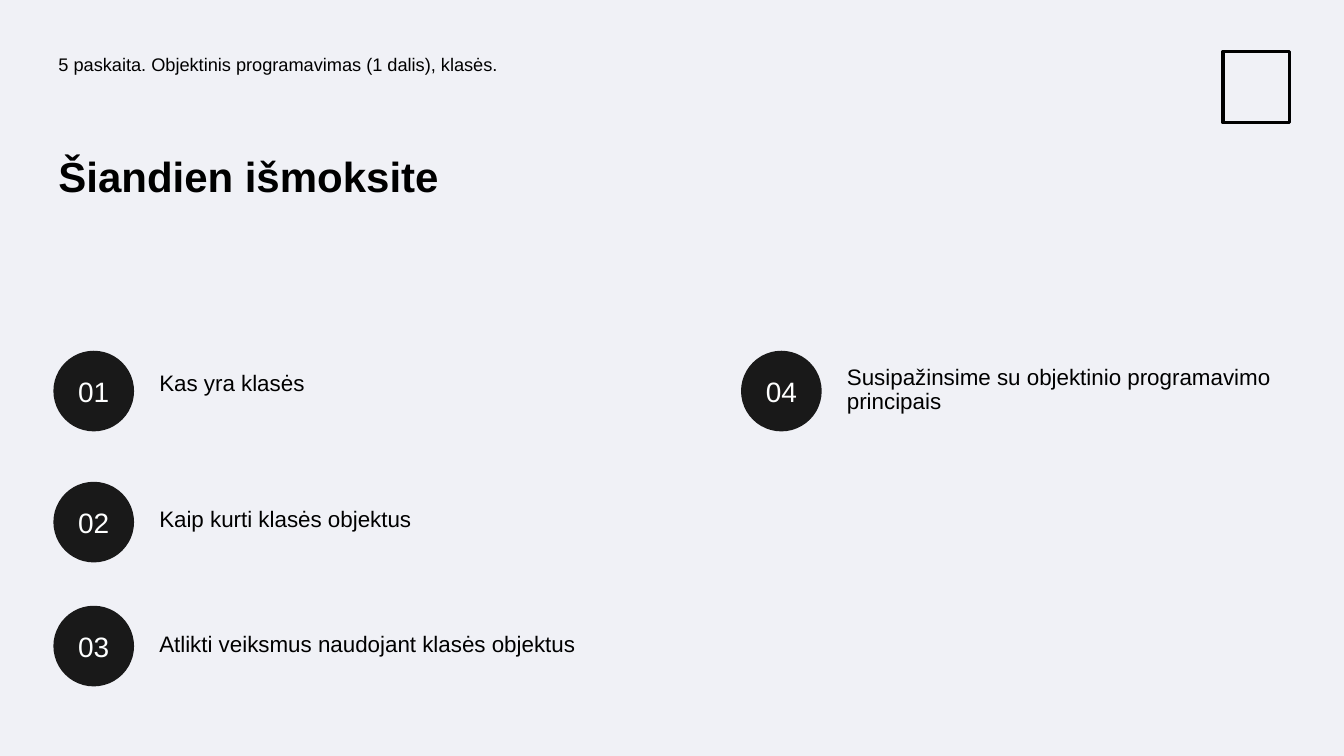
from pptx import Presentation
from pptx.dml.color import RGBColor
from pptx.enum.shapes import MSO_SHAPE
from pptx.enum.text import MSO_ANCHOR, PP_ALIGN
from pptx.util import Inches, Pt

LECTURE = "5 paskaita. Objektinis programavimas (1 dalis), klasės."
TITLE = "Šiandien išmoksite"
TOPICS = [
    ("01", "Kas yra klasės", 0, 0, 3.64, 4.63, 0.5),
    ("02", "Kaip kurti klasės objektus", 0, 1, 4.99, 4.63, 0.37),
    ("03", "Atlikti veiksmus naudojant klasės objektus", 0, 2, 6.23, 4.87, 0.36),
    ("04", "Susipažinsime su objektinio programavimo principais", 1, 0, 3.58, 4.87, 0.6),
]
COLUMNS = (0.53, 7.35)
ROWS = (3.48, 4.78, 6.01)
CIRCLE = 0.8
TEXT_OFFSET = 1.0
INSET = 0.05

FONT = "Arial"
BACKGROUND = RGBColor(0xF0, 0xF1, 0xF6)
BLACK = RGBColor(0, 0, 0)
DARK = RGBColor(0x19, 0x19, 0x19)
WHITE = RGBColor(0xFE, 0xFF, 0xFF)
OVAL, RECTANGLE = MSO_SHAPE.OVAL, MSO_SHAPE.RECTANGLE
TOP, MIDDLE = MSO_ANCHOR.TOP, MSO_ANCHOR.MIDDLE
LEFT, CENTER = PP_ALIGN.LEFT, PP_ALIGN.CENTER


def write(sp, text, size=16, color=BLACK, bold=False, align=LEFT,
          anchor=TOP, spacing=0.9, before=10):
    tf = sp.text_frame
    tf.word_wrap = True
    tf.vertical_anchor = anchor
    tf.margin_left = tf.margin_right = Inches(INSET)
    tf.margin_top = tf.margin_bottom = Inches(INSET)
    p = tf.paragraphs[0]
    p.alignment = align
    p.line_spacing = spacing
    p.space_before = Pt(before)
    r = p.add_run()
    r.text = text
    r.font.name = FONT
    r.font.size = Pt(size)
    r.font.bold = bold
    r.font.color.rgb = color


def box(x, y, w, h):
    return s.shapes.add_textbox(Inches(x), Inches(y), Inches(w), Inches(h))


def shape(kind, x, y, w, h):
    sp = s.shapes.add_shape(kind, Inches(x), Inches(y), Inches(w), Inches(h))
    sp.shadow.inherit = False
    return sp


prs = Presentation()
prs.slide_width = Inches(13.33)
prs.slide_height = Inches(7.5)
s = prs.slides.add_slide(prs.slide_layouts[6])
s.background.fill.solid()
s.background.fill.fore_color.rgb = BACKGROUND

emblem = shape(RECTANGLE, 12.13, 0.51, 0.66, 0.71)
emblem.fill.background()
emblem.line.color.rgb = BLACK
emblem.line.width = Pt(2.25)

write(box(0.53, 0.5, 6.14, 0.49), LECTURE, size=13)
write(box(0.53, 1.5, 5.64, 1.49), TITLE, size=30, bold=True, before=0)

for number, topic, column, row, top, width, height in TOPICS:
    x = COLUMNS[column]
    circle = shape(OVAL, x, ROWS[row], CIRCLE, CIRCLE)
    circle.fill.solid()
    circle.fill.fore_color.rgb = DARK
    circle.line.fill.background()
    write(circle, number, size=20, color=WHITE, align=CENTER,
          anchor=MIDDLE, spacing=1.0, before=0)
    write(box(x + TEXT_OFFSET, top, width, height), topic)

prs.save("out.pptx")
